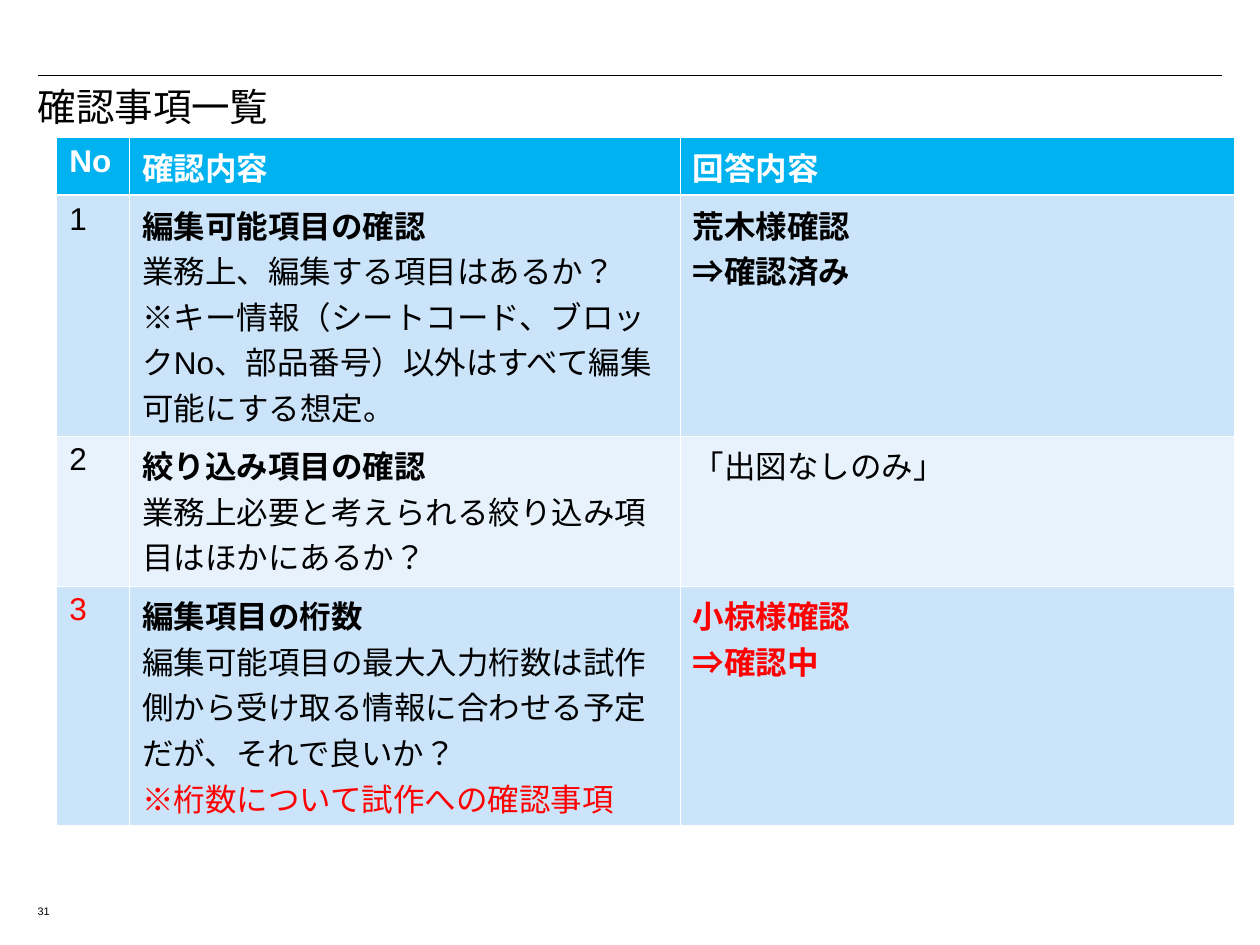
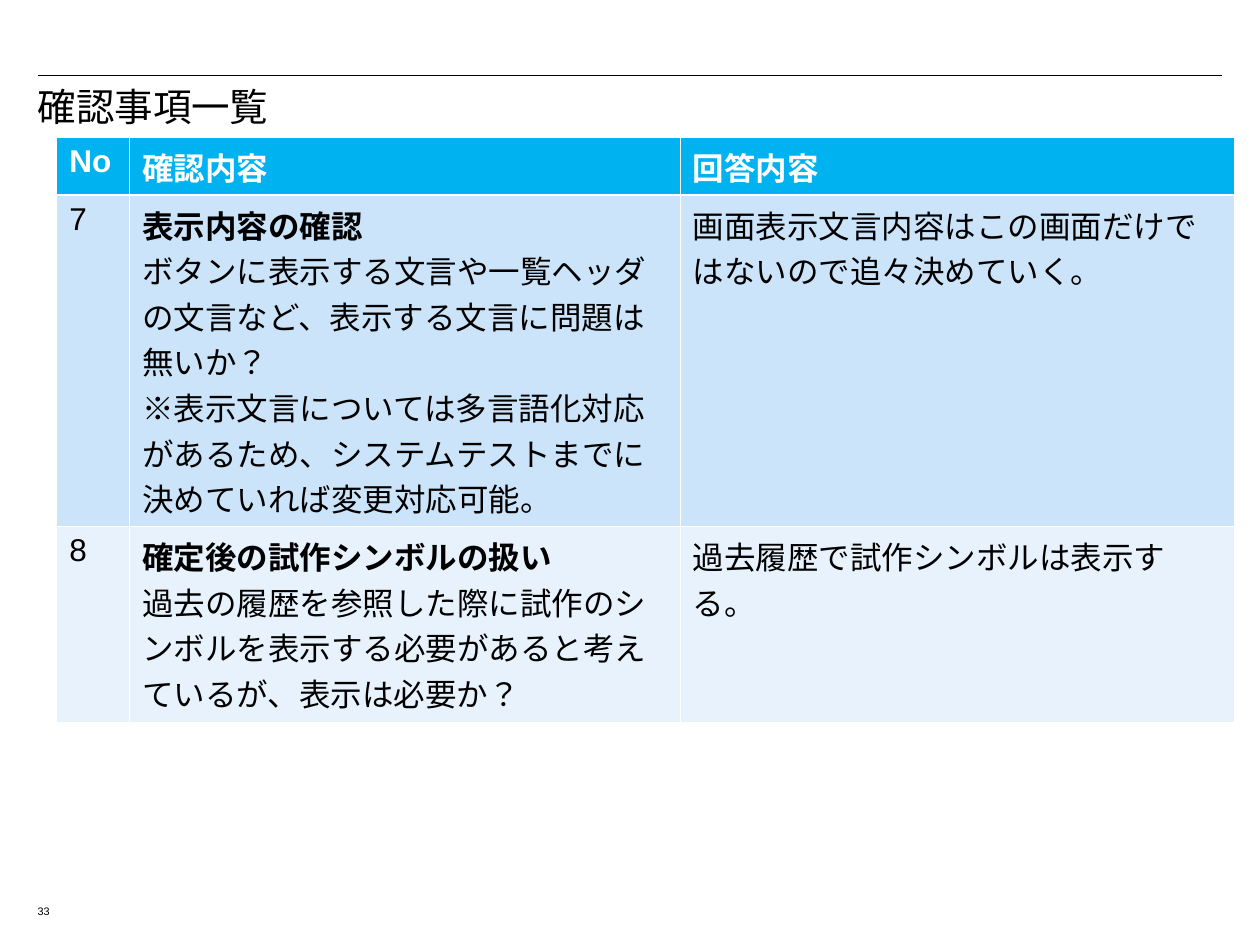
from lxml.etree import SubElement
from pptx import Presentation
from pptx.dml.color import RGBColor
from pptx.enum.lang import MSO_LANGUAGE_ID
from pptx.enum.shapes import MSO_CONNECTOR
from pptx.enum.text import MSO_ANCHOR, MSO_AUTO_SIZE, PP_ALIGN
from pptx.oxml.ns import qn
from pptx.util import Inches, Pt

COLORS = {
    "text": "000000",
    "white": "FFFFFF",
    "alert": "FF0000",
    "header": "00B2EF",
    "odd": "CBE4F9",
    "even": "E7F2FC",
}
FONT = "Arial"
COLUMN_WIDTHS = (0.58, 4.37, 4.4)
HEADER_HEIGHT = 0.46
HEADINGS = ("No", "確認内容", "回答内容")
PLAIN = {}
BOLD = {"bold": True}
ALERT = {"color": "alert"}
BOLD_ALERT = BOLD | ALERT

PAGES = (
    ("31", (
        (1.91,
         [("1", PLAIN)],
         [("編集可能項目の確認", BOLD),
          ("業務上、編集する項目はあるか？", PLAIN),
          ("※キー情報（シートコード、ブロックNo、部品番号）以外はすべて編集可能にする想定。", PLAIN)],
         [("荒木様確認", BOLD), ("⇒確認済み", BOLD)]),
        (1.19,
         [("2", PLAIN)],
         [("絞り込み項目の確認", BOLD),
          ("業務上必要と考えられる絞り込み項目はほかにあるか？", PLAIN)],
         [("「出図なしのみ」", PLAIN)]),
        (1.9,
         [("3", ALERT)],
         [("編集項目の桁数", BOLD),
          ("編集可能項目の最大入力桁数は試作側から受け取る情報に合わせる予定だが、それで良いか？", PLAIN),
          ("※桁数について試作への確認事項", ALERT)],
         [("小椋様確認", BOLD_ALERT), ("⇒確認中", BOLD_ALERT)]),
    )),
    ("33", (
        (2.63,
         [("7", PLAIN)],
         [("表示内容の確認", BOLD),
          ("ボタンに表示する文言や一覧ヘッダの文言など、表示する文言に問題は無いか？", PLAIN),
          ("※表示文言については多言語化対応があるため、システムテストまでに決めていれば変更対応可能。", PLAIN)],
         [("画面表示文言内容はこの画面だけではないので追々決めていく。", PLAIN)]),
        (1.55,
         [("8", PLAIN)],
         [("確定後の試作シンボルの扱い", BOLD),
          ("過去の履歴を参照した際に試作のシンボルを表示する必要があると考えているが、表示は必要か？", PLAIN)],
         [("過去履歴で試作シンボルは表示する。", PLAIN)]),
    )),
)


def rgb(name):
    """Return the palette colour of that name."""
    return RGBColor.from_string(COLORS[name])


def write(paragraph, text, size=18, color="text", bold=False, spacing=1.0):
    """Put formatted text in a paragraph."""
    paragraph.alignment = PP_ALIGN.LEFT
    paragraph.line_spacing = spacing
    paragraph._p.get_or_add_pPr().set("hangingPunct", "0")
    run = paragraph.add_run()
    run.text = text
    font = run.font
    font.name = FONT
    font.size = Pt(size)
    font.bold = bold
    font.color.rgb = rgb(color)
    font.language_id = MSO_LANGUAGE_ID.JAPANESE


class ChecklistDeck:
    """Hold the shared style and the slide being built."""

    def __init__(self):
        """Start an empty deck."""
        self.presentation = Presentation()
        self.presentation.slide_width = Inches(10)
        self.presentation.slide_height = Inches(7.5)
        self.slide = None

    def start_slide(self, title, page_number):
        """Add a slide with its rule, page number and title."""
        self.slide = self.presentation.slides.add_slide(self.presentation.slide_layouts[5])
        self.rule()
        self.page_number(page_number)
        self.title(title)

    def rule(self):
        """Draw the line above the title."""
        rule = self.slide.shapes.add_connector(
            MSO_CONNECTOR.STRAIGHT, Inches(0.3), Inches(0.6), Inches(9.7), Inches(0.6))
        rule.line.color.rgb = rgb("text")
        rule.line.width = Pt(0.75)
        SubElement(rule.element.spPr, qn("a:effectLst"))

    def page_number(self, number):
        """Write the page number at the bottom left."""
        box = self.slide.shapes.add_textbox(Inches(0.2), Inches(7.15), Inches(0.4), Inches(0.2))
        box.text_frame.word_wrap = True
        write(box.text_frame.paragraphs[0], number, size=6.2, spacing=0.8)

    def title(self, text):
        """Place and fill the title placeholder."""
        heading = self.slide.shapes.title
        heading.left, heading.top = Inches(0.2), Inches(0.65)
        heading.width, heading.height = Inches(9.65), Inches(0.57)
        frame = heading.text_frame
        frame.auto_size = MSO_AUTO_SIZE.NONE
        frame.vertical_anchor = MSO_ANCHOR.TOP
        frame.margin_top = frame.margin_bottom = Inches(0.05)
        write(frame.paragraphs[0], text, size=22, spacing=0.9)

    def cell(self, cell, lines, fill, top=0.45, bottom=0.45):
        """Fill one table cell with text, borders and colour."""
        for side, width in (("L", 0.45), ("R", 0.45), ("T", top), ("B", bottom)):
            border = SubElement(cell._tc.get_or_add_tcPr(), qn(f"a:ln{side}"), w=str(Pt(width)))
            SubElement(SubElement(border, qn("a:solidFill")), qn("a:srgbClr"), val=COLORS["white"])
        cell.fill.solid()
        cell.fill.fore_color.rgb = rgb(fill)
        frame = cell.text_frame
        for index, (text, style) in enumerate(lines):
            write(frame.add_paragraph() if index else frame.paragraphs[0], text, **style)

    def checklist(self, items):
        """Add the table of questions and answers."""
        heights = [HEADER_HEIGHT] + [height for height, *_ in items]
        table = self.slide.shapes.add_table(
            len(heights), len(HEADINGS), Inches(0.45), Inches(1.09),
            Inches(sum(COLUMN_WIDTHS)), Inches(sum(heights))).table
        for column, width in zip(table.columns, COLUMN_WIDTHS):
            column.width = Inches(width)
        for row, height in zip(table.rows, heights):
            row.height = Inches(height)
        for column, heading in enumerate(HEADINGS):
            self.cell(table.cell(0, column), [(heading, BOLD | {"color": "white"})],
                      "header", bottom=1.47)
        for row, (_, *contents) in enumerate(items, 1):
            for column, lines in enumerate(contents):
                self.cell(table.cell(row, column), lines, "odd" if row % 2 else "even",
                          top=1.47 if row == 1 else 0.45)


def main():
    """Build and save the checklist slides."""
    deck = ChecklistDeck()
    for number, items in PAGES:
        deck.start_slide("確認事項一覧", number)
        deck.checklist(items)
    deck.presentation.save("out.pptx")


if __name__ == "__main__":
    main()
